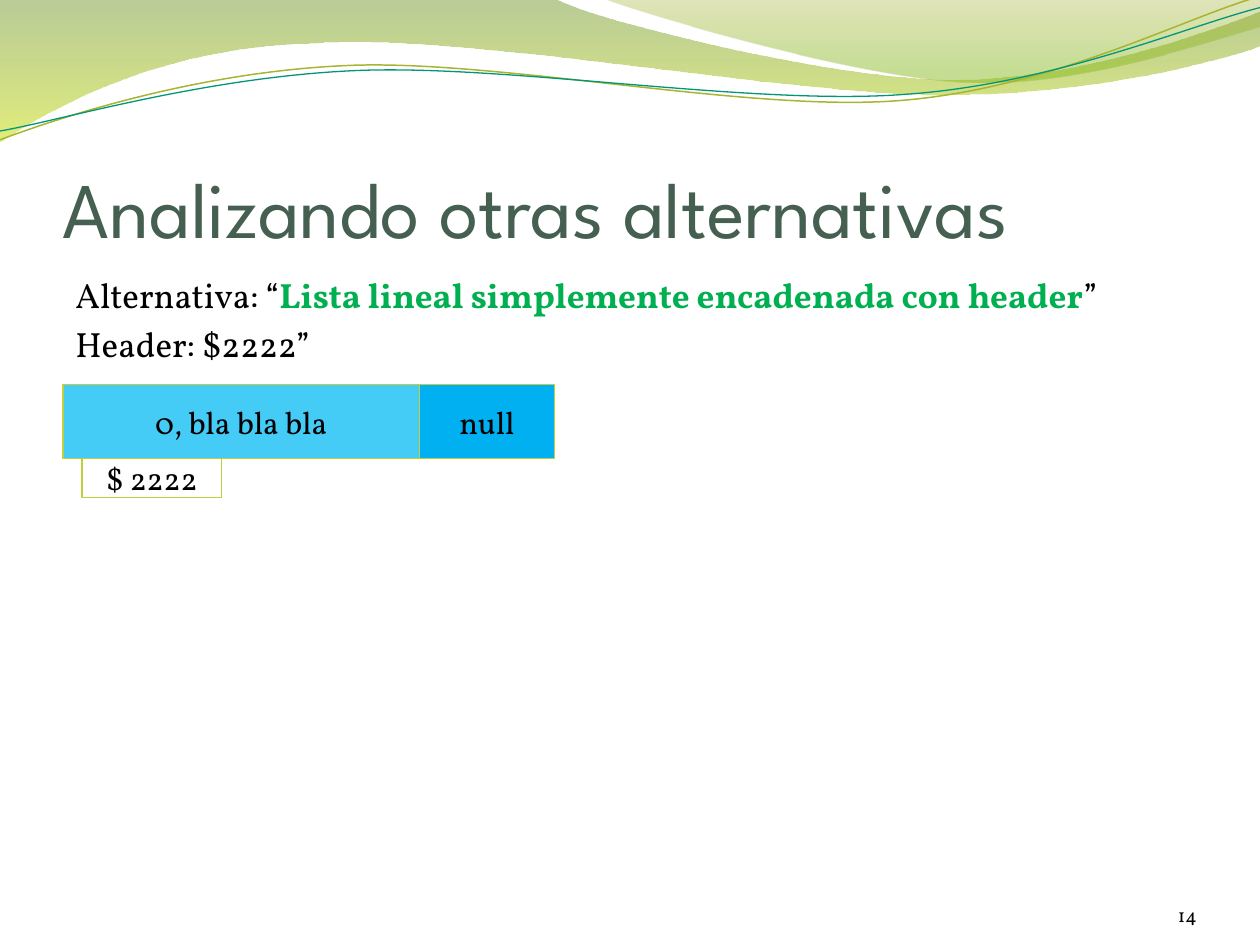
from math import cos, radians, sin
from lxml.etree import SubElement
from pptx import Presentation
from pptx.dml.color import RGBColor
from pptx.enum.shapes import MSO_SHAPE as Shape
from pptx.enum.text import MSO_ANCHOR as Anchor, PP_ALIGN as Align
from pptx.oxml.ns import qn
from pptx.util import Pt

PX = 9144  # one px is a hundredth of an inch
HEADING_FONT, BODY_FONT = "League Spartan", "Vollkorn"

BLACK = RGBColor(0x00, 0x00, 0x00)
TITLE_GREEN = RGBColor(0x45, 0x5F, 0x51)
ACCENT_GREEN = RGBColor(0x00, 0xB0, 0x50)
BORDER_LIME = RGBColor(0xC0, 0xCF, 0x3A)
LIGHT_BLUE = RGBColor(0x44, 0xCC, 0xF6)
BLUE = RGBColor(0x00, 0xB0, 0xF0)
OLIVE = RGBColor(0xA8, 0xB5, 0x32)
TEAL = RGBColor(0x02, 0x96, 0x76)
LEAF = RGBColor(0x66, 0x8F, 0x1B)
LIME = RGBColor(0xCA, 0xE0, 0x0E)
MOSS = RGBColor(0x99, 0xA7, 0x19)
GRASS = RGBColor(0x80, 0xB8, 0x14)

# Each outline has a box and steps: one point is straight, three are a curve.
# Gradient stops: position, colour, opacity in percent.
WAVE_BANDS = [
    ((-1, -1, 1002, 114),
     [[(0, 0)], [(440, -1)],
      [(475, 17), (663, 63), (758, 63)], [(853, 63), (958, 26), (1000, 9)],
      [(1001, 36)],
      [(983, 44), (869, 76), (746, 75)], [(622, 75), (381, 28), (257, 34)],
      [(129, 36), (46, 83), (-1, 113)], [(0, 0)]],
     [(0, LEAF, 45), (1, LIME, 55)]),
    ((479, -1, 521, 70),
     [[(479, -1)],
      [(509, 11), (682, 62), (768, 65)], [(855, 69), (961, 32), (1000, 21)],
      [(1000, 0)], [(479, -1)]],
     [(0, MOSS, 30), (0.8, GRASS, 45)]),
]
WAVE_TILT = 357.3
WAVE_LINES = [
    ((-2, 22, 1002, 71),
     [[(0, 111)],
      [(48, 93), (157, 57), (276, 52)], [(395, 47), (592, 89), (712, 80)],
      [(833, 71), (938, 15), (997, -2)]], OLIVE, 0.85),
    ((-2, 30, 1003, 58),
     [[(0, 104)],
      [(47, 96), (163, 61), (283, 56)], [(402, 51), (597, 84), (717, 75)],
      [(836, 67), (941, 21), (1000, 6)]], TEAL, 0.75),
]

TITLE = [[("Analizando otras alternativas", TITLE_GREEN, False)]]
BODY = [
    [("Alternativa: “", BLACK, False),
     ("Lista lineal simplemente encadenada con header", ACCENT_GREEN, True),
     ("”", BLACK, False)],
    [("Header: $2222”", BLACK, False)],
]
PAGE_NUMBER = [[("14", BLACK, False)]]

NODE_LEFT, NODE_TOP, NODE_HEIGHT = 50, 305, 59
NODE_FIELDS = [("0, bla bla bla", 283, LIGHT_BLUE), ("null", 107, BLUE)]
ADDRESS, ADDRESS_INDENT, ADDRESS_WIDTH, ADDRESS_HEIGHT = "$ 2222", 15, 111, 31


def emu(*lengths):
    return [round(length * PX) for length in lengths]


def write_text(shape, paragraphs, size, font=BODY_FONT, align=Align.LEFT,
               anchor=Anchor.TOP, insets=(10, 5, 10, 5), space=0):
    frame = shape.text_frame
    frame.word_wrap = True
    frame.vertical_anchor = anchor
    (frame.margin_left, frame.margin_top,
     frame.margin_right, frame.margin_bottom) = emu(*insets)
    for index, runs in enumerate(paragraphs):
        paragraph = frame.add_paragraph() if index else frame.paragraphs[0]
        paragraph.alignment = align
        paragraph.space_before = Pt(space if index else 0)
        for text, color, bold in runs:
            run = paragraph.add_run()
            run.text = text
            run.font.name, run.font.size = font, Pt(size)
            run.font.bold, run.font.color.rgb = bold, color


def add_text(slide, box, paragraphs, size, **text_format):
    write_text(slide.shapes.add_textbox(*emu(*box)), paragraphs, size, **text_format)


def add_cell(slide, box, text, fill=None):
    cell = slide.shapes.add_shape(Shape.RECTANGLE, *emu(*box))
    cell.shadow.inherit = False
    if fill is None:
        cell.fill.background()
    else:
        cell.fill.solid()
        cell.fill.fore_color.rgb = fill
    cell.line.color.rgb, cell.line.width = BORDER_LIME, Pt(0.75)
    write_text(cell, [[(text, BLACK, False)]], 18,
               align=Align.CENTER, anchor=Anchor.MIDDLE)


def add_outline(slide, box, steps, tilt=0, close=False):
    """Draw the steps as they lie on the slide, in a box turned by tilt."""
    left, top, width, height = box
    center_x, center_y = left + width / 2, top + height / 2
    cosine, sine = cos(radians(-tilt)), sin(radians(-tilt))

    def inside_box(point):
        dx, dy = point[0] - center_x, point[1] - center_y
        return emu(dx * cosine - dy * sine + width / 2,
                   dx * sine + dy * cosine + height / 2)

    builder = slide.shapes.build_freeform(*emu(*steps[0][-1]))
    builder.add_line_segments([emu(*step[-1]) for step in steps[1:]], close=close)
    shape = builder.convert_to_shape()
    shape.shadow.inherit = False
    shape.left, shape.top, shape.width, shape.height = emu(*box)
    shape.rotation = tilt

    # Give the segments their curves
    geometry = next(shape.element.iter(qn("a:path")))
    for name, length in zip("wh", emu(width, height)):
        geometry.set(name, str(length))
    for segment in list(geometry):
        geometry.remove(segment)
    for index, step in enumerate(steps):
        tag = "a:cubicBezTo" if len(step) == 3 else "a:lnTo" if index else "a:moveTo"
        segment = SubElement(geometry, qn(tag))
        for x, y in map(inside_box, step):
            SubElement(segment, qn("a:pt"), x=str(x), y=str(y))
    if close:
        SubElement(geometry, qn("a:close"))
    return shape


def add_band(slide, box, steps, stops):
    band = add_outline(slide, box, steps, close=True)
    band.line.fill.background()
    band.fill.gradient()
    band.fill.gradient_angle = 270
    for stop, (position, color, _) in zip(band.fill.gradient_stops, stops):
        stop.position, stop.color.rgb = position, color
    colors = band.element.spPr.find(qn("a:gradFill")).iter(qn("a:srgbClr"))
    for color_element, (_, _, opacity) in zip(colors, stops):
        SubElement(color_element, qn("a:alpha"), val=str(opacity * 1000))


def main():
    presentation = Presentation()
    presentation.slide_width, presentation.slide_height = emu(1000, 750)
    slide = presentation.slides.add_slide(presentation.slide_layouts[6])

    # Wave along the top
    for box, steps, stops in WAVE_BANDS:
        add_band(slide, box, steps, stops)
    for box, steps, color, width in WAVE_LINES:
        curve = add_outline(slide, box, steps, tilt=WAVE_TILT)
        curve.fill.background()
        curve.line.color.rgb, curve.line.width = color, Pt(width)

    # Title, body and page number
    add_text(slide, (50, 77, 900, 125), TITLE, 45, font=HEADING_FONT,
             anchor=Anchor.BOTTOM, insets=(0, 5, 0, 0))
    add_text(slide, (50, 212, 900, 480), BODY, 20, align=Align.JUSTIFY, space=4)
    add_text(slide, (867, 695, 83, 40), PAGE_NUMBER, 11, align=Align.RIGHT,
             anchor=Anchor.BOTTOM, insets=(0, 0, 0, 0))

    # List node with its address below
    left = NODE_LEFT
    for text, width, fill in NODE_FIELDS:
        add_cell(slide, (left, NODE_TOP, width, NODE_HEIGHT), text, fill)
        left += width
    add_cell(slide, (NODE_LEFT + ADDRESS_INDENT, NODE_TOP + NODE_HEIGHT,
                     ADDRESS_WIDTH, ADDRESS_HEIGHT), ADDRESS)

    presentation.save("out.pptx")


if __name__ == "__main__":
    main()
